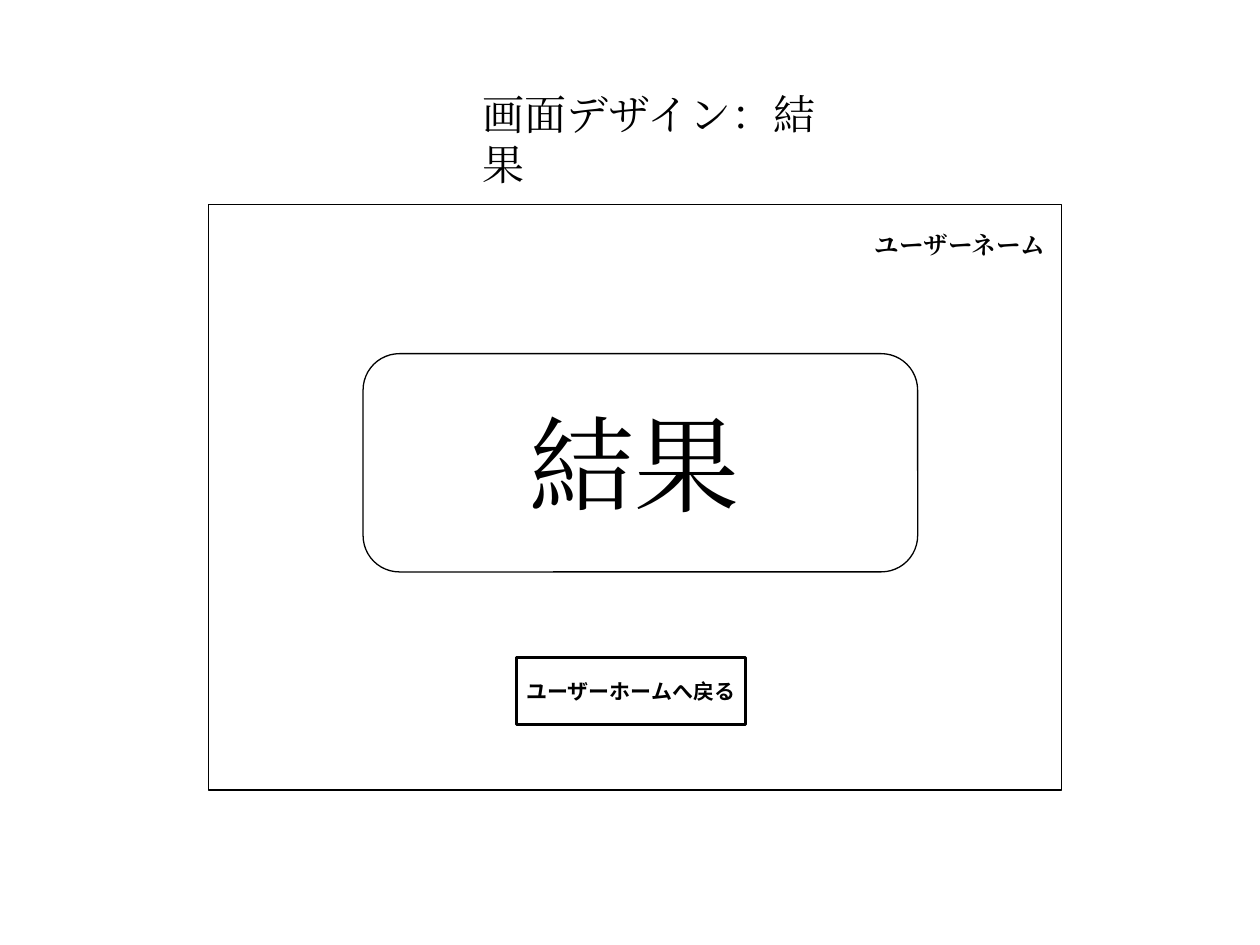
import pptx
import pptx.util
import pptx.dml.color
import pptx.enum.shapes
import pptx.enum.text
import lxml.etree

Cm = pptx.util.Cm
Pt = pptx.util.Pt
ALIGN = pptx.enum.text.PP_ALIGN
ANCHOR = pptx.enum.text.MSO_ANCHOR
SHAPE = pptx.enum.shapes.MSO_SHAPE
SERIF = "Times New Roman"
SANS = "Noto Sans CJK JP"
INK = "000000"


def color(value):
    return pptx.dml.color.RGBColor.from_string(value)


def place(shape, left, top, width, height):
    shape.left, shape.top = Cm(left), Cm(top)
    shape.width, shape.height = Cm(width), Cm(height)


def write(shape, text, size, name=SERIF, bold=False,
          alignment=ALIGN.LEFT, anchor=ANCHOR.TOP, wrap=True):
    frame = shape.text_frame
    frame.word_wrap = wrap
    frame.auto_size = pptx.enum.text.MSO_AUTO_SIZE.NONE
    frame.vertical_anchor = anchor
    paragraph = frame.paragraphs[0]
    paragraph.text = text
    paragraph.alignment = alignment
    font = paragraph.font
    font.size = Pt(size)
    font.bold = bold
    font.color.rgb = color(INK)
    font.name = name
    properties = paragraph._p.pPr.find(pptx.oxml.ns.qn("a:defRPr"))
    east_asian = lxml.etree.SubElement(properties, pptx.oxml.ns.qn("a:ea"))
    east_asian.set("typeface", name)


def add_title(slide, text, box, size):
    title = slide.shapes.title
    place(title, *box)
    write(title, text, size)


def add_label(slide, text, box, size, bold=False):
    label = slide.shapes.add_textbox(*map(Cm, box))
    write(label, text, size, bold=bold)


def add_frame(slide, kind, box, line_width):
    shape = slide.shapes.add_shape(kind, *map(Cm, box))
    shape.shadow.inherit = False
    shape.fill.background()
    shape.line.color.rgb = color(INK)
    shape.line.width = Pt(line_width)
    return shape


def add_button(slide, text, box):
    button = add_frame(slide, SHAPE.RECTANGLE, box, 2)
    write(button, text, 12, SANS, True, ALIGN.CENTER, ANCHOR.MIDDLE, False)


def main():
    presentation = pptx.Presentation()
    presentation.slide_width = Cm(25.4)
    presentation.slide_height = Cm(19.05)
    slide = presentation.slides.add_slide(presentation.slide_layouts[5])
    add_frame(slide, SHAPE.RECTANGLE, (4.2, 4.12, 17.2, 11.81), 0.75)
    add_title(slide, "画面デザイン：結果", (9.48, 1.65, 7.65, 2.29), 24)
    add_label(slide, "ユーザーネーム", (17.38, 4.52, 4.09, 0.86), 14, bold=True)
    add_frame(slide, SHAPE.ROUNDED_RECTANGLE, (7.32, 7.13, 11.18, 4.4), 0.75)
    add_label(slide, "結果", (10.42, 7.92, 5, 2.8), 60)
    add_button(slide, "ユーザーホームへ戻る", (10.41, 13.26, 4.62, 1.35))
    presentation.save("out.pptx")


if __name__ == "__main__":
    main()
